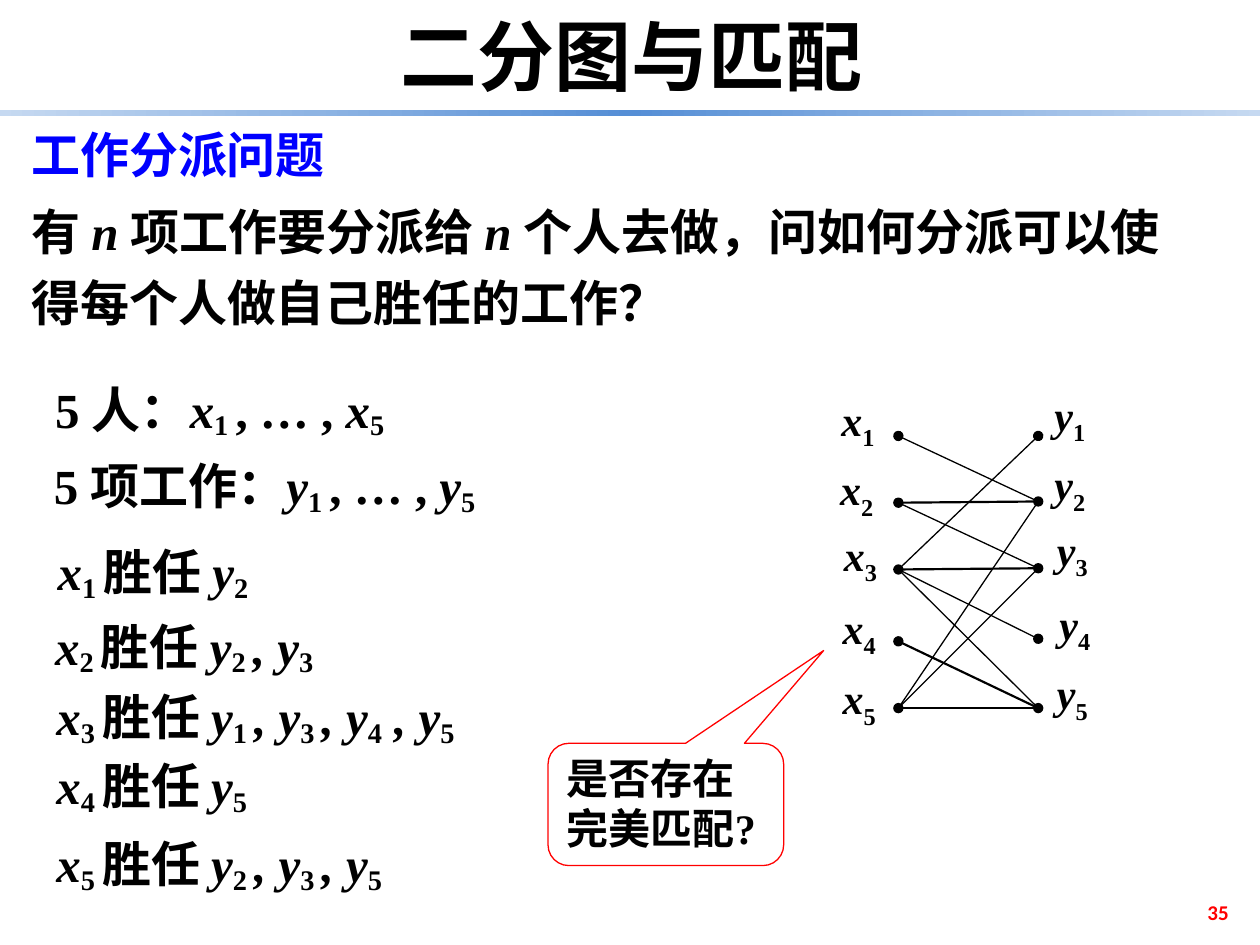
import copy
from dataclasses import dataclass

import lxml.etree
import pptx
import pptx.dml.color
import pptx.enum.shapes
import pptx.enum.text
import pptx.oxml.ns
import pptx.util

Inches = pptx.util.Inches
ALIGN = pptx.enum.text.PP_ALIGN
ANCHOR = pptx.enum.text.MSO_ANCHOR
SHAPE = pptx.enum.shapes.MSO_SHAPE


@dataclass(frozen=True)
class Theme:
    """Colours, fonts and type sizes of the slide."""
    ink: str = "000000"
    heading: str = "0000FF"
    accent: str = "FF0000"
    bar: tuple = ("C6D9F1", "8EB4E3", "558ED5", "8EB4E3", "C6D9F1")
    serif: str = "Times New Roman"
    sans: str = "Calibri"
    title_font: str = "DejaVu Sans Mono"
    title: int = 44
    body: int = 28
    label: int = 24
    number: int = 12
    thin: float = 0.75
    thick: float = 1.25


THEME = Theme()

STATEMENTS = [
    (0.01, 0, 3.7, "5 人：*x*_1 _, … , *x*_5_"),
    (0, 0.61, 4.25, "5 项工作：*y*_1 _, … , *y*_5_"),
    (0.03, 1.29, 2.64, "*x*_1 _胜任 *y*_2_"),
    (0.01, 1.88, 3.23, "*x*_2 _胜任 *y*_2 _*, y*_3_"),
    (0.02, 2.44, 3.83, "*x*_3 _胜任 *y*_1 _*, y*_3 _*, y*_4_* , y*_5_"),
    (0.02, 2.99, 2.96, "*x*_4 _胜任 *y*_5_"),
    (0.02, 3.61, 3.23, "*x*_5 _胜任 *y*_2 _*, y*_3 _*, y*_5_"),
]

X_NODES = [(0.56, y) for y in (0.42, 0.95, 1.48, 2.05, 2.58)]
Y_NODES = [(1.67, y) for y in (0.42, 0.94, 1.47, 2.03, 2.58)]
X_LABELS = [(0.01, 0.04), (0, 0.59), (0.03, 1.11), (0.02, 1.69), (0.02, 2.25)]
Y_LABELS = [(1.7, 0), (1.7, 0.55), (1.72, 1.07), (1.74, 1.66), (1.72, 2.21)]

EDGES = [
    (1, 2, THEME.thin, "head"),
    (2, 2, THEME.thick, "head tail"),
    (4, 5, THEME.thick, "head"),
    (5, 5, THEME.thin, "head tail"),
    (3, 3, THEME.thick, "head tail"),
    (3, 1, THEME.thin, "tail"),
    (2, 3, THEME.thin, ""),
    (3, 4, THEME.thin, "tail"),
    (3, 5, THEME.thin, ""),
    (5, 3, THEME.thin, ""),
    (5, 2, THEME.thin, ""),
]


def rgb(value):
    """Turn a hex string into a colour."""
    return pptx.dml.color.RGBColor.from_string(value)


def add_runs(paragraph, markup, baseline):
    """Add runs, with * toggling italics and _ toggling subscript."""
    for i, level in enumerate(markup.split("_")):
        for j, words in enumerate(level.split("*")):
            if words:
                run = paragraph.add_run()
                run.text = words
                if j % 2:
                    run.font.italic = True
                if i % 2:
                    run._r.get_or_add_rPr().set("baseline", str(baseline * 1000))


def add_text(slide, box, markup, size, font=THEME.serif, color=THEME.ink,
             align=ALIGN.LEFT, anchor=ANCHOR.TOP, baseline=-16, spacing=None):
    """Place one bold paragraph in a wrapping text box."""
    frame = slide.shapes.add_textbox(*map(Inches, box)).text_frame
    frame.word_wrap = True
    frame.vertical_anchor = anchor
    paragraph = frame.paragraphs[0]
    paragraph.alignment = align
    if spacing:
        paragraph.line_spacing = spacing
    paragraph.font.size = pptx.util.Pt(size)
    paragraph.font.name = font
    paragraph.font.bold = True
    paragraph.font.color.rgb = rgb(color)
    add_runs(paragraph, markup, baseline)


def add_header(slide, left, top, width):
    """Place the title and the gradient bar under it."""
    bar = slide.shapes.add_shape(SHAPE.RECTANGLE, Inches(left), Inches(top + 0.87),
                                 Inches(width), Inches(0.05))
    bar.shadow.inherit = False
    bar.line.fill.background()
    bar.fill.gradient()
    bar.fill.gradient_angle = 0
    stop_list = next(bar._element.spPr.iter(pptx.oxml.ns.qn("a:gsLst")))
    for _ in range(len(THEME.bar) - len(stop_list)):
        stop_list.append(copy.deepcopy(stop_list[0]))
    for i, (stop, color) in enumerate(zip(bar.fill.gradient_stops, THEME.bar)):
        stop.position = i / (len(THEME.bar) - 1)
        stop.color.rgb = rgb(color)
    add_text(slide, (left + 0.03, top, width - 0.03, 0.87), "二分图与匹配", THEME.title,
             THEME.title_font, align=ALIGN.CENTER, anchor=ANCHOR.MIDDLE)


def add_problem(slide, left, top, width):
    """Place the problem heading and its question."""
    add_text(slide, (left, top, 2.77, 0.61), "工作分派问题", THEME.body,
             THEME.sans, THEME.heading)
    add_text(slide, (left, top + 0.52, width, 1.22),
             "有 *n *项工作要分派给 *n *个人去做，问如何分派可以使得每个人做自己胜任的工作？",
             THEME.body, spacing=1.2)


def add_statements(slide, left, top):
    """Place the people, the jobs and who can do what."""
    for dx, dy, width, markup in STATEMENTS:
        add_text(slide, (left + dx, top + dy, width, 0.57), markup, THEME.body)


def add_edge(slide, start, end, width, dots):
    """Draw one edge with round dots at the named ends."""
    edge = slide.shapes.add_connector(pptx.enum.shapes.MSO_CONNECTOR.STRAIGHT,
                                      *map(Inches, (*start, *end)))
    edge.line.color.rgb = rgb(THEME.ink)
    edge.line.width = pptx.util.Pt(width)
    properties = edge._element.spPr
    line = properties.find(pptx.oxml.ns.qn("a:ln"))
    for side in dots.split():
        lxml.etree.SubElement(line, pptx.oxml.ns.qn(f"a:{side}End"), type="oval")
    lxml.etree.SubElement(properties, pptx.oxml.ns.qn("a:effectLst"))


def add_graph(slide, left, top):
    """Draw the bipartite graph with its node labels."""
    def shift(point):
        """Move a point into the graph box."""
        return left + point[0], top + point[1]

    for person, job, width, dots in EDGES:
        add_edge(slide, shift(X_NODES[person - 1]), shift(Y_NODES[job - 1]), width, dots)
    for letter, places in (("x", X_LABELS), ("y", Y_LABELS)):
        for index, place in enumerate(places, 1):
            add_text(slide, (*shift(place), 0.63, 0.51), f"*{letter}*_{index}_",
                     THEME.label, align=ALIGN.JUSTIFY, baseline=-25)


def add_question(slide, left, top, width, height):
    """Place the callout that asks for a perfect matching."""
    callout = slide.shapes.add_shape(SHAPE.ROUNDED_RECTANGULAR_CALLOUT,
                                     *map(Inches, (left, top, width, height)))
    for i, value in enumerate((0.67, -1.26, 0.17)):
        callout.adjustments[i] = value
    callout.shadow.inherit = False
    callout.fill.background()
    callout.line.color.rgb = rgb(THEME.accent)
    callout.line.width = pptx.util.Pt(THEME.thin)
    add_text(slide, (left + 0.05, top + 0.02, width - 0.09, height - 0.07),
             "是否存在完美匹配?", THEME.label)


def main():
    """Build the slide and save it."""
    deck = pptx.Presentation()
    deck.slide_width, deck.slide_height = Inches(10), Inches(7.5)
    slide = deck.slides.add_slide(deck.slide_layouts[6])
    add_header(slide, 0, 0, 10)
    add_text(slide, (7.52, 7.04, 2.33, 0.4), "35", THEME.number, THEME.sans,
             THEME.accent, ALIGN.RIGHT, ANCHOR.MIDDLE)
    add_problem(slide, 0.15, 0.94, 9.45)
    add_graph(slide, 6.57, 3.04)
    add_statements(slide, 0.33, 2.96)
    add_question(slide, 4.35, 5.9, 1.87, 0.97)
    deck.save("out.pptx")


if __name__ == "__main__":
    main()
